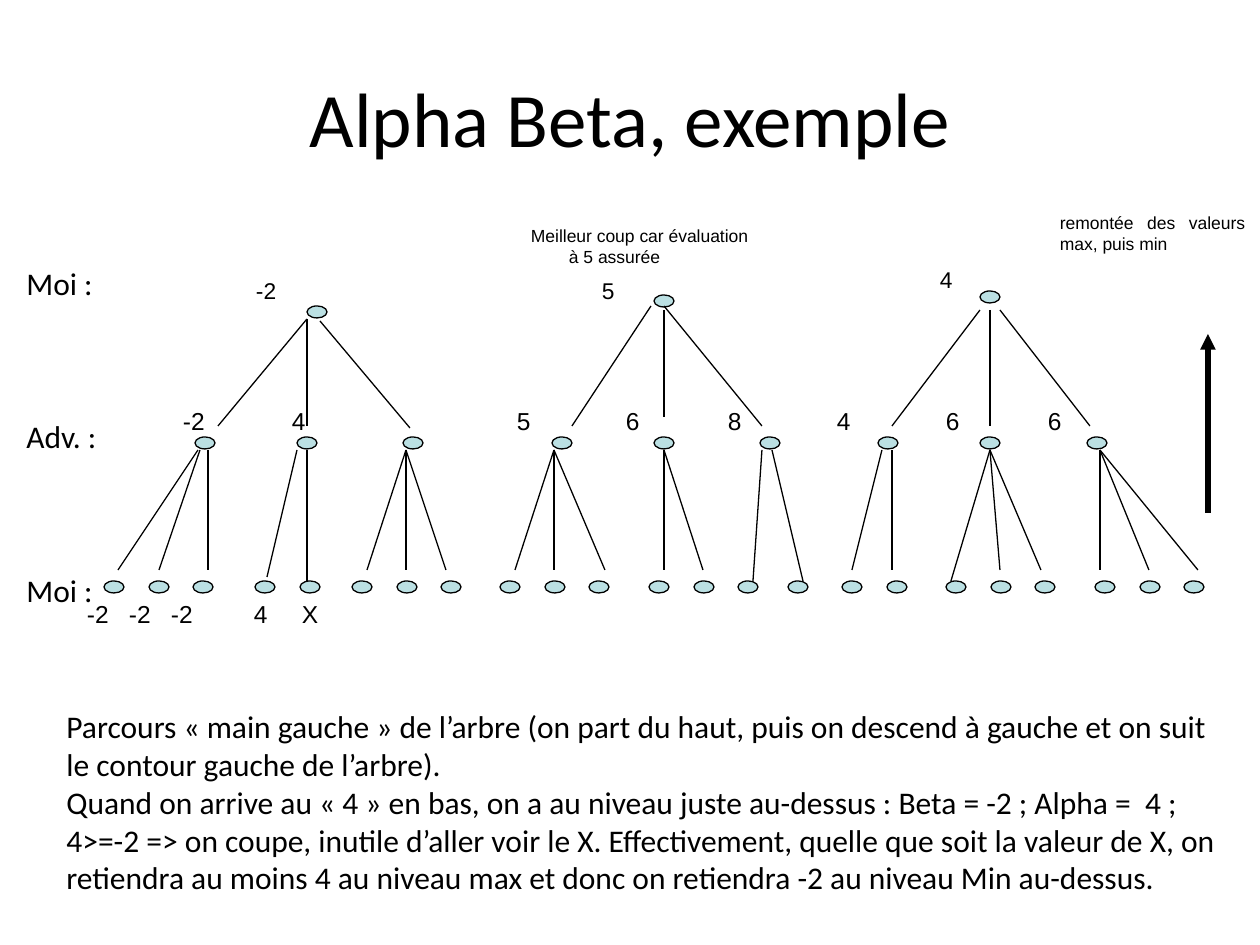
from lxml import etree
from pptx import Presentation
from pptx import util as u
from pptx.dml.color import RGBColor
from pptx.enum import shapes, text
from pptx.oxml.ns import qn

SCALE = 914400 // 126
BLACK, NODE_FILL = "000000", "BBE0E3"
NODE_WIDTH, NODE_HEIGHT, LEAF_STEP = 20, 12, 44.6
JUSTIFY, LEFT = text.PP_ALIGN.JUSTIFY, text.PP_ALIGN.LEFT


def color(value):
    return RGBColor.from_string(value)


def add_text(box, lines, font, size, align, inset=None, tabs=()):
    left, top, width, height = [u.Emu(value * SCALE) for value in box]
    frame = slide.shapes.add_textbox(left, top, width, height).text_frame
    frame.word_wrap = True
    if inset:
        margins = {"margin_left": inset[0], "margin_right": inset[0],
                   "margin_top": inset[1], "margin_bottom": inset[1]}
        for name, value in margins.items():
            setattr(frame, name, u.Emu(value * SCALE))
    for index, line in enumerate(lines):
        paragraph = frame.paragraphs[0] if index == 0 else frame.add_paragraph()
        paragraph.alignment = align
        run = paragraph.add_run()
        run.text = line
        for name, value in {"name": font, "size": u.Pt(size)}.items():
            setattr(run.font, name, value)
        run.font.color.rgb = color(BLACK)
        if tabs:
            properties = paragraph._p.get_or_add_pPr()
            tab_list = etree.SubElement(properties, qn("a:tabLst"))
            for position in tabs:
                etree.SubElement(tab_list, qn("a:tab"), pos=str(position * SCALE), algn="l")
    return frame


presentation = Presentation()
presentation.slide_width, presentation.slide_height = u.Inches(10), u.Inches(7.5)
slide = presentation.slides.add_slide(presentation.slide_layouts[5])

title = slide.shapes.title
for name, value in {"left": 63, "top": 38, "width": 1134, "height": 157}.items():
    setattr(title, name, u.Emu(value * SCALE))
title.text_frame.text = "Alpha Beta, exemple"
title_font = title.text_frame.paragraphs[0].runs[0].font
title_font.name, title_font.size = "Calibri", u.Pt(44)
title_font.color.rgb = color(BLACK)

nodes = [(307, 306), (654, 295), (980, 291)]
nodes += [(x, 437) for x in (195, 297, 403, 552, 654, 760, 878, 980, 1087)]
leaf_groups = [(104, 3), (255, 2), (352, 3), (500, 3), (649, 3),
               (788, 1), (842, 2), (946, 3), (1095, 3)]
for start, count in leaf_groups:
    nodes += [(round(start + index * LEAF_STEP), 581) for index in range(count)]

for x, y in nodes:
    node = slide.shapes.add_shape(
        shapes.MSO_SHAPE.OVAL, x * SCALE, y * SCALE, NODE_WIDTH * SCALE, NODE_HEIGHT * SCALE)
    node.shadow.inherit = False
    node.fill.solid()
    node.fill.fore_color.rgb = color(NODE_FILL)
    node.line.color.rgb = color(BLACK)
    node.line.width = u.Pt(0.75)

leaf_fans = [
    (198, [(118, 570)]), (200, [(159, 570)]), (208, [(208, 570)]),
    (297, [(267, 577)]), (307, [(307, 581)]),
    (406, [(367, 570), (406, 570), (446, 570)]),
    (554, [(515, 570), (554, 570), (605, 570)]),
    (664, [(664, 570), (703, 570)]),
    (762, [(753, 581)]), (772, [(803, 581)]),
    (882, [(852, 570)]), (892, [(892, 570)]),
    (990, [(951, 581), (1000, 570), (1041, 570)]),
    (1100, [(1100, 570), (1149, 570), (1198, 570)]),
]
edges = [(x, 450, *end) for x, ends in leaf_fans for end in ends]
edges += [
    (307, 319, 218, 426), (307, 319, 307, 426), (320, 321, 410, 428),
    (651, 306, 572, 426), (664, 310, 664, 417), (664, 306, 762, 426),
    (980, 310, 892, 426), (990, 310, 990, 426), (1000, 310, 1090, 426),
]
value_arrow = (1208, 513, 1208, 334)

for edge in edges + [value_arrow]:
    connector = slide.shapes.add_connector(
        shapes.MSO_CONNECTOR.STRAIGHT, *[value * SCALE for value in edge])
    connector.line.color.rgb = color(BLACK)
    connector.line.width = u.Pt(3 if edge == value_arrow else 0.75)
    if edge == value_arrow:
        etree.SubElement(connector.line._get_or_add_ln(), qn("a:tailEnd"), type="triangle")
    etree.SubElement(connector._element.spPr, qn("a:effectLst"))

INSET = (9, 4)
add_text((78, 595, 1200, 55), ["\t".join(["-2", "-2", "-2", "4", "X"])],
         "Arial", 14, JUSTIFY, INSET, (42, 84, 167, 215))
add_text((174, 402, 1100, 55), ["\t".join(["-2", *"4568466"])],
         "Arial", 14, JUSTIFY, INSET, (109, 334, 443, 545, 654, 763, 865))
for x, y, value in [(247, 273, "-2"), (593, 273, "5"), (931, 262, "4")]:
    add_text((x, y, 59, 66), [value], "Arial", 13, JUSTIFY, INSET)

best_move = add_text((522, 221, 416, 116), ["Meilleur coup car évaluation", "à 5 assurée"],
                     "Arial", 10, JUSTIFY, INSET)
best_move.paragraphs[1]._p.get_or_add_pPr().set("marL", str(38 * SCALE))
add_text((1051, 208, 203, 152), ["remontée des valeurs max, puis min"],
         "Arial", 10, JUSTIFY, INSET)

players = add_text((14, 258, 144, 357), ["Moi :", "Adv. :", "Moi :"], "Calibri", 18, LEFT)
for paragraph in players.paragraphs[1:]:
    paragraph.space_before = u.Pt(66)

add_text((54, 701, 1194, 204), [
    "Parcours «\u00a0main gauche\u00a0» de l’arbre (on part du haut, puis on descend à gauche "
    "et on suit le contour gauche de l’arbre).",
    "Quand on arrive au «\u00a04\u00a0» en bas, on a au niveau juste au-dessus : Beta = -2 ; "
    "Alpha =  4 ; 4>=-2 => on coupe, inutile d’aller voir le X. Effectivement, quelle que soit "
    "la valeur de X, on retiendra au moins 4 au niveau max et donc on retiendra -2 au niveau "
    "Min au-dessus.",
], "Calibri", 18, LEFT)

presentation.save("out.pptx")
